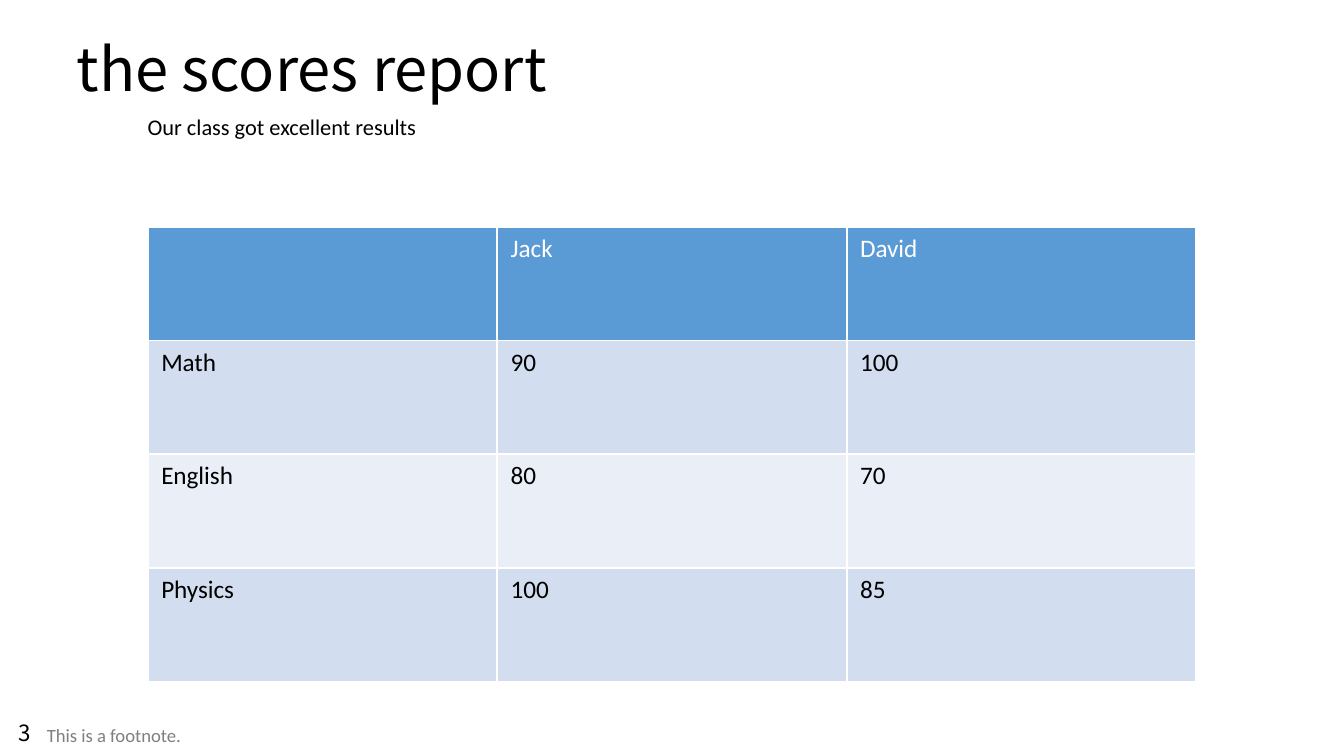
from pptx import Presentation
from pptx.dml.color import RGBColor
from pptx.enum.text import MSO_ANCHOR as Anchor, PP_ALIGN as Align
from pptx.oxml import parse_xml
from pptx.oxml.ns import nsdecls
from pptx.util import Inches, Pt

# Content
TITLE = "the scores report"
SUBTITLE = "Our class got excellent results"
FOOTNOTE = "This is a footnote."
PAGE_NUMBER = "3"
SCORES = [
    ("", "Jack", "David"),
    ("Math", "90", "100"),
    ("English", "80", "70"),
    ("Physics", "100", "85"),
]

# Style
COLORS = {
    "text": "000000", "muted": "7F7F7F", "white": "FFFFFF",
    "header": "5B9BD5", "band": "D2DEEF", "light": "EAEFF7",
}
BODY_FONT, TITLE_FONT = "Calibri", "Noto Sans CJK SC"


def write(frame, text, size, color="text", font=BODY_FONT):
    para = frame.paragraphs[0]
    para.alignment = Align.LEFT
    span = para.add_run()
    span.text = text
    for name, value in {"name": font, "size": Pt(size), "bold": False}.items():
        setattr(span.font, name, value)
    span.font.color.rgb = RGBColor.from_string(COLORS[color])


def add_text(page, place, text, size, color="text", font=BODY_FONT, wrap=True):
    box = page.shapes.add_textbox(*map(Inches, place))
    box.text_frame.word_wrap = wrap
    write(box.text_frame, text, size, color, font)


def add_borders(cell, color="white", width=1):
    properties = cell._tc.get_or_add_tcPr()
    for index, side in enumerate("LRTB"):
        properties.insert(index, parse_xml(
            f'<a:ln{side} {nsdecls("a")} w="{Pt(width)}"><a:solidFill>'
            f'<a:srgbClr val="{COLORS[color]}"/></a:solidFill></a:ln{side}>'))


# A 16:9 page
deck = Presentation()
deck.slide_width = Inches(10)
deck.slide_height = Inches(10 * 9 / 16)
page = deck.slides.add_slide(deck.slide_layouts[5])

# Title
title = page.shapes.title
title.left, title.top, title.width, title.height = map(Inches, (0.47, 0.25, 8.62, 0.57))
title.text_frame.vertical_anchor = Anchor.MIDDLE
write(title.text_frame, TITLE, 32, font=TITLE_FONT)
title.text_frame.paragraphs[0].line_spacing = 0.9

# Subtitle, footnote and page number
add_text(page, (1, 0.79, 8, 0.84), SUBTITLE, 12)
add_text(page, (0.25, 5.34, 7, 0.34), FOOTNOTE, 10, "muted")
add_text(page, (0.04, 5.3, 0.42, 0.3), PAGE_NUMBER, 12, font=TITLE_FONT, wrap=False)

# Score table
table = page.shapes.add_table(
    len(SCORES), len(SCORES[0]), *map(Inches, (1.1, 1.69, 7.8, 3.38))).table
for row, values in enumerate(SCORES):
    fill = "header" if row == 0 else ("light", "band")[row % 2]
    for column, value in enumerate(values):
        cell = table.cell(row, column)
        cell.fill.solid()
        cell.fill.fore_color.rgb = RGBColor.from_string(COLORS[fill])
        add_borders(cell)
        if value:
            write(cell.text_frame, value, 13.5, "text" if row else "white")

deck.save("out.pptx")
